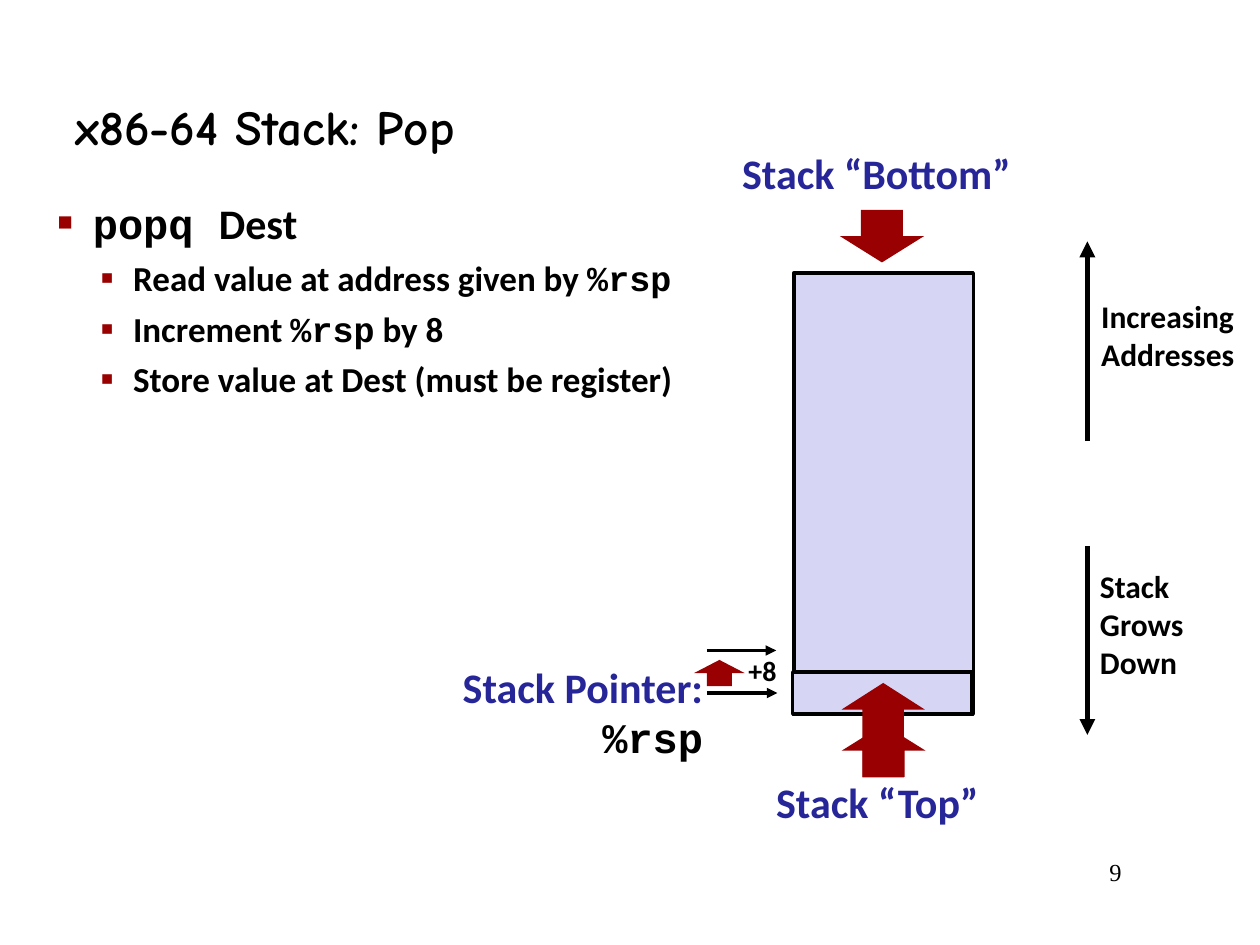
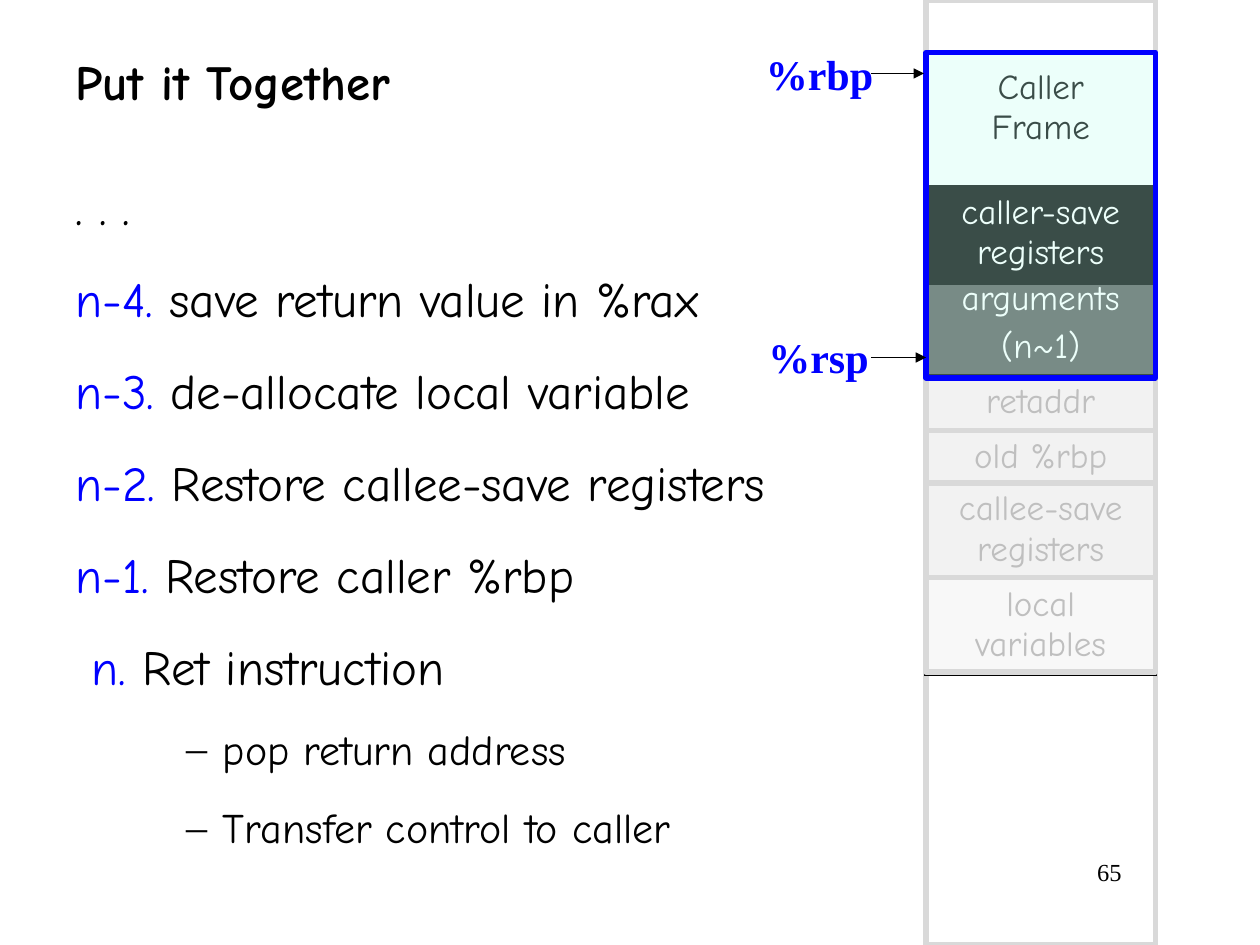
"""Build two slides on the x86-64 stack: popping a value, and returning from a call."""
import lxml.etree
import pptx
import pptx.dml.color
import pptx.enum.shapes
import pptx.enum.text
import pptx.oxml.ns
import pptx.util

qn = pptx.oxml.ns.qn
SHAPE = pptx.enum.shapes.MSO_SHAPE
ALIGN = pptx.enum.text.PP_ALIGN
CELL = pptx.util.Inches(1) / 12

BLACK, WHITE, BLUE, NAVY = "000000", "FFFFFF", "0000FF", "262699"
RED, LILAC, SILVER, GREY, PALE = "980002", "D6D6F4", "D9D9D9", "BFBFBF", "F2F2F2"

HEADING = {"name": "Comic Neue", "size": 28, "bold": True, "color": BLACK}
BODY = {"name": "Comic Neue", "size": 28, "color": BLACK}
FRAME_TEXT = {"name": "Comic Neue", "size": 20}
PAGE_NUMBER = {"name": "Times New Roman", "size": 14, "color": BLACK}
REGISTER = {"name": "Times New Roman", "size": 24, "bold": True, "color": BLUE}
LABEL = {"name": "Calibri", "size": 24, "bold": True, "color": NAVY}
NOTE = {"name": "Calibri", "size": 18, "bold": True, "color": BLACK}
POINT = {**NOTE, "size": 20}
CODE = {"name": "Courier New"}
STEP = {"color": BLUE}


def paint(fill, color):
    """Fill with a hex colour, or leave empty."""
    if color is None:
        fill.background()
    else:
        fill.solid()
        fill.fore_color.rgb = pptx.dml.color.RGBColor.from_string(color)


def write(frame, paragraphs, look, align=ALIGN.LEFT):
    """Write paragraphs of (text, changes to the look) runs, breaking lines at newlines."""
    for index, runs in enumerate(paragraphs):
        paragraph = frame.paragraphs[0] if index == 0 else frame.add_paragraph()
        paragraph.alignment = align
        for text, changes in runs:
            for position, line in enumerate(text.split("\n")):
                if position:
                    paragraph.add_line_break()
                run = paragraph.add_run()
                run.text = line
                for key, value in {**look, **changes}.items():
                    if key == "color":
                        paint(run.font.fill, value)
                    else:
                        setattr(run.font, key, pptx.util.Pt(value) if key == "size" else value)


deck = pptx.Presentation()
deck.slide_width, deck.slide_height = round(120 * CELL), round(90 * CELL)
pop, together = [deck.slides.add_slide(deck.slide_layouts[6]) for _ in range(2)]

frame_left, frame_width = 88.2, 21.84
activation_record = [
    (26, 10, ["arguments", "(n~1)"], WHITE, "595959"),
    (17.75, 9.2, ["caller-save registers"], WHITE, BLACK),
    (41, 5.2, ["old %rbp"], GREY, PALE),
    (35.8, 5.2, ["retaddr"], GREY, PALE),
    (5, 36, ["Caller\nFrame"], BLACK, None),
    (46, 9.2, ["callee-save registers"], GREY, PALE),
    (55.1, 9.1, ["local variables"], GREY, "F8F8F8"),
]

memory = together.shapes.add_shape(
    SHAPE.RECTANGLE, *[round(n * CELL) for n in (frame_left, 0, frame_width, 90)])
memory.shadow.inherit = False
paint(memory.fill, None)
paint(memory.line.fill, SILVER)
memory.line.width = pptx.util.Pt(3)

for top, height, lines, ink, fill in activation_record:
    area = [round(n * CELL) for n in (frame_left, top, frame_width, height)]
    table = together.shapes.add_table(1, 1, *area).table
    table.first_row = table.horz_banding = False
    cell = table.cell(0, 0)
    if fill is None:
        cell.margin_top = pptx.util.Inches(0.12)
    properties = cell._tc.get_or_add_tcPr()
    for edge in ("a:lnL", "a:lnR", "a:lnT", "a:lnB"):
        border = lxml.etree.SubElement(properties, qn(edge), w=str(pptx.util.Pt(2.25)))
        solid = lxml.etree.SubElement(border, qn("a:solidFill"))
        lxml.etree.SubElement(solid, qn("a:srgbClr"), val=BLACK)
    paint(cell.fill, fill)
    write(cell.text_frame, [[(line, {})] for line in lines], {**FRAME_TEXT, "color": ink},
          ALIGN.CENTER)
    for paragraph in cell.text_frame.paragraphs[1:]:
        paragraph.space_before = pptx.util.Pt(4)

blocks = [
    (pop, SHAPE.UP_ARROW, (80.16, 69, 8, 5), RED, None, 0),
    (pop, SHAPE.RECTANGLE, (75.6, 26, 17.1, 42), LILAC, BLACK, 2),
    (pop, SHAPE.DOWN_ARROW, (80, 20, 8, 5), RED, None, 0),
    (pop, SHAPE.UP_ARROW, (66.12, 62.85, 4.8, 2.5), RED, None, 0),
    (pop, SHAPE.RECTANGLE, (75.5, 64, 17.1, 4), LILAC, BLACK, 2),
    (pop, SHAPE.UP_ARROW, (80.16, 65.04, 7.92, 9), RED, None, 0),
]
blocks += [(together, SHAPE.RECTANGLE, (frame_left, top, frame_width, height), None, SILVER, 3)
           for top, height in ((55, 9), (46, 9), (41, 5), (36, 5))]
blocks.append((together, SHAPE.RECTANGLE, (frame_left, 5, frame_width, 31), "C2FFF0", BLUE, 3))

for slide, kind, area, fill, outline, weight in blocks:
    block = slide.shapes.add_shape(kind, *[round(n * CELL) for n in area])
    block.shadow.inherit = False
    paint(block.fill, fill)
    paint(block.line.fill, outline)
    if outline:
        block.line.width = pptx.util.Pt(weight)
    if kind == SHAPE.UP_ARROW and area[3] > area[2]:
        block.adjustments[1] = 0.32

caller_tint = block._element.spPr.xpath("a:solidFill/a:srgbClr")[0]
lxml.etree.SubElement(caller_tint, qn("a:alpha"), val="30000")

arrows = [
    (pop, (67.32, 66, 74.04, 66), 2),
    (pop, (67.32, 61.95, 73.92, 61.95), 2),
    (pop, (103.56, 52, 103.56, 70), 3),
    (pop, (103.56, 42, 103.56, 23), 3),
    (together, (83, 7, 88, 7), 0.75),
    (together, (83, 34.05, 88.2, 34.05), 0.75),
]
for slide, ends, weight in arrows:
    arrow = slide.shapes.add_connector(
        pptx.enum.shapes.MSO_CONNECTOR.STRAIGHT, *[round(n * CELL) for n in ends])
    paint(arrow.line.fill, BLACK)
    arrow.line.width = pptx.util.Pt(weight)
    properties = arrow._element.spPr
    lxml.etree.SubElement(properties.find(qn("a:ln")), qn("a:tailEnd"), type="triangle")
    lxml.etree.SubElement(properties, qn("a:effectLst"))

pop_points = [
    [("popq ", {**CODE, "size": 24}), ("Dest", {"size": 24})],
    [("Read value at address given by ", {}), ("%rsp", CODE)],
    [("Increment ", {}), ("%rsp", CODE), (" by 8", {})],
    [("Store value at Dest (must be register)", {})],
]
return_steps = [
    [(". . .", {})],
    [("n-4. ", STEP), ("save return value in %rax", {})],
    [("n-3. ", STEP), ("de-allocate local variable", {})],
    [("n-2. ", STEP), ("Restore callee-save registers", {})],
    [("n-1. ", STEP), ("Restore caller %rbp", {})],
    [(" n. ", STEP), ("Ret instruction", {})],
    [("pop return address", {"size": 24})],
    [("Transfer control to caller", {"size": 24})],
]

wrapped = {"word_wrap": True}
centred = {"word_wrap": True, "vertical_anchor": pptx.enum.text.MSO_ANCHOR.MIDDLE}
loose = {"word_wrap": False}
sides = ("margin_left", "margin_top", "margin_right", "margin_bottom")
flush = dict.fromkeys(sides, 0)
snug = dict.fromkeys(sides, pptx.util.Inches(0.04))

texts = [
    (pop, (6, 6, 106, 12), [[("x86-64 Stack: Pop", {})]], HEADING, ALIGN.LEFT, centred),
    (together, (6, 1.7, 106, 12), [[("Put it Together", {})]], HEADING, ALIGN.LEFT, centred),
    (pop, (91, 81, 17, 6), [[("9", {})]], PAGE_NUMBER, ALIGN.RIGHT, wrapped),
    (together, (91, 81, 17, 6), [[("65", {})]], PAGE_NUMBER, ALIGN.RIGHT, wrapped),
    (pop, (34.8, 63, 32.16, 4.8),
     [[("Stack Pointer: ", {}), ("%rsp", {**CODE, "color": BLACK})]],
     LABEL, ALIGN.RIGHT, {**flush, **wrapped}),
    (pop, (104.76, 54, 10.7, 12), [[("Stack Grows", {})], [("Down", {})]],
     NOTE, ALIGN.LEFT, {**flush, **wrapped}),
    (pop, (104.88, 28.3, 13.56, 8.3), [[("Increasing", {})], [("Addresses", {})]],
     NOTE, ALIGN.LEFT, {**flush, **loose}),
    (pop, (73.92, 73.92, 20.4, 5.9), [[("Stack “Top”", {})]],
     LABEL, ALIGN.LEFT, {**flush, **loose}),
    (pop, (70.68, 14, 26.76, 5.9), [[("Stack “Bottom”", {})]],
     LABEL, ALIGN.LEFT, {**flush, **loose}),
    (pop, (70.8, 61.8, 3.72, 4.2), [[("+8", {"size": 16})]],
     NOTE, ALIGN.LEFT, {**snug, **loose}),
    (together, (71.76, 4, 12.72, 6.1), [[("%rbp", {})]], REGISTER, ALIGN.LEFT, loose),
    (together, (72, 31, 12.12, 6.1), [[("%rsp", {})]], REGISTER, ALIGN.LEFT, loose),
    (pop, (5, 18.3, 110, 71.3), pop_points, POINT, ALIGN.LEFT, {**snug, **wrapped}),
    (together, (6, 14, 114, 67), return_steps, BODY, ALIGN.LEFT, wrapped),
]
bodies = []
for slide, area, paragraphs, look, align, layout in texts:
    frame = slide.shapes.add_textbox(*[round(n * CELL) for n in area]).text_frame
    for key, value in layout.items():
        setattr(frame, key, value)
    write(frame, paragraphs, look, align)
    if paragraphs in (pop_points, return_steps):
        bodies.append(frame.paragraphs)

pop_lines, return_lines = bodies
for line in pop_lines[1:]:
    line.space_before = pptx.util.Pt(5)
for index, line in enumerate(return_lines):
    line.line_spacing = 1.4
    if index:
        line.space_before = pptx.util.Pt(5.5 if index < 6 else 4.5)

bullets = [
    (pop_lines[:1], 0.28, 0.28, "■", "990000", 60),
    (pop_lines[1:], 0.6, 0.26, "▪", "990000", 110),
    (return_lines[6:], 1.17, 0.29, "–", BLACK, 100),
]
for lines, margin, hanging, mark, color, percent in bullets:
    for line in lines:
        properties = line._p.get_or_add_pPr()
        properties.set("marL", str(pptx.util.Inches(margin)))
        properties.set("indent", str(-pptx.util.Inches(hanging)))
        tint = lxml.etree.SubElement(properties, qn("a:buClr"))
        lxml.etree.SubElement(tint, qn("a:srgbClr"), val=color)
        lxml.etree.SubElement(properties, qn("a:buSzPct"), val=str(percent * 1000))
        lxml.etree.SubElement(properties, qn("a:buFont"), typeface="Times New Roman")
        lxml.etree.SubElement(properties, qn("a:buChar"), char=mark)

deck.save("out.pptx")
